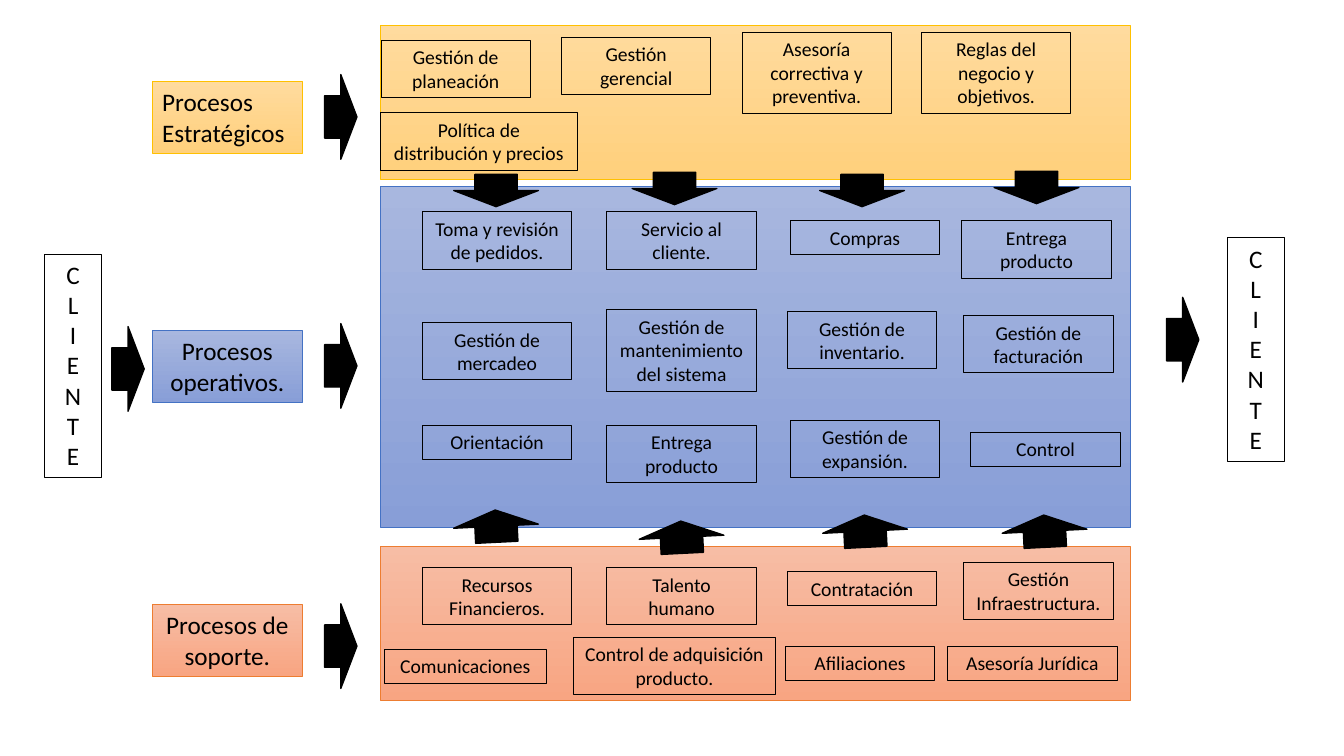
from dataclasses import dataclass

from pptx import Presentation
from pptx import util as u
from pptx.dml.color import RGBColor
from pptx.enum import shapes, text

FONT = "Calibri"
BLACK = "000000"
LEFT, MID = text.PP_ALIGN.LEFT, text.PP_ALIGN.CENTER
COLS = (4.19, 6.02, 7.84, 9.56)
HIGH = {1: 0.34, 2: 0.57, 3: 0.81}  # box height by number of text lines


@dataclass
class Band:
    label: str
    label_y: float
    arrow_y: float
    y: float
    height: float
    top: str
    low: str
    edge: str
    align: text.PP_ALIGN = MID


@dataclass
class Box:
    label: str
    x: float
    y: float
    lines: int = 2
    width: float = 1.48


@dataclass
class Arrow:
    x: float
    y: float
    turn: float = 0


BANDS = [
    Band("Procesos Estratégicos", 0.81, 0.74, 0.25, 1.53,
         "FFDB9E", "FFD07C", "FFC000", LEFT),
    Band("Procesos operativos.", 3.28, 3.21, 1.85, 3.38,
         "A8B7DF", "889ED7", "4472C4"),
    Band("Procesos de soporte.", 6, 5.99, 5.42, 1.53,
         "F7BDA5", "F8A582", "ED7D31"),
]

BOXES = [
    Box("Gestión de planeación", 3.78, 0.4),
    Box("Gestión gerencial", 5.57, 0.37),
    Box("Asesoría correctiva y preventiva.", 7.36, 0.32, 3),
    Box("Reglas del negocio y objetivos.", 9.14, 0.32, 3),
    Box("Política de distribución y precios", 3.77, 1.12, width=1.96),
    Box("Toma y revisión de pedidos.", COLS[0], 2.1),
    Box("Servicio al cliente.", COLS[1], 2.1),
    Box("Compras", COLS[2], 2.19, 1),
    Box("Entrega producto", 9.54, 2.19),
    Box("Gestión de mercadeo", COLS[0], 3.2),
    Box("Gestión de mantenimiento del sistema", COLS[1], 3.07, 3),
    Box("Gestión de inventario.", 7.81, 3.09),
    Box("Gestión de facturación", COLS[3], 3.13),
    Box("Orientación", COLS[0], 4.22, 1),
    Box("Entrega producto", COLS[1], 4.22),
    Box("Gestión de expansión.", COLS[2], 4.17),
    Box("Control", 9.63, 4.29, 1),
    Box("Recursos Financieros.", COLS[0], 5.63),
    Box("Talento humano", COLS[1], 5.63),
    Box("Contratación", 7.81, 5.67, 1),
    Box("Gestión Infraestructura.", COLS[3], 5.58),
    Box("Comunicaciones", 3.81, 6.44, 1, 1.61),
    Box("Control de adquisición producto.", 5.69, 6.32, 2, 2),
    Box("Afiliaciones", 7.79, 6.41, 1),
    Box("Asesoría Jurídica", 9.4, 6.41, 1, 1.68),
]

UP, DOWN = 267.2, 90
ARROWS = [
    Arrow(4.76, 4.8, UP), Arrow(6.6, 4.91, UP),
    Arrow(8.42, 4.85, UP), Arrow(10.2, 4.85, UP),
    Arrow(4.76, 1.47, DOWN), Arrow(6.53, 1.45, DOWN),
    Arrow(8.39, 1.47, DOWN), Arrow(10.12, 1.44, DOWN),
    Arrow(1.11, 3.24), Arrow(11.57, 2.95),
    *(Arrow(3.22, band.arrow_y) for band in BANDS),
]


def color(code: str) -> RGBColor:
    return RGBColor.from_string(code)


def add(slide, kind, x: float, y: float, width: float, height: float,
        edge: str = BLACK, weight: float = 0.75):
    """Add an unfilled, outlined shape without shadow."""
    shape = slide.shapes.add_shape(
        kind, *(u.Inches(side) for side in (x, y, width, height)))
    shape.shadow.inherit = False
    shape.fill.background()
    shape.line.color.rgb = color(edge)
    shape.line.width = u.Pt(weight)
    return shape


def rect(slide, *place: float, **line):
    return add(slide, shapes.MSO_SHAPE.RECTANGLE, *place, **line)


def write(shape, words: str, size: float = 14, align=MID) -> None:
    frame = shape.text_frame
    frame.word_wrap = True
    frame.vertical_anchor = text.MSO_ANCHOR.TOP
    frame.text = words
    for para in frame.paragraphs:
        para.alignment = align
        para.font.name = FONT
        para.font.size = u.Pt(size)
        para.font.color.rgb = color(BLACK)


def shade(shape, top: str, low: str) -> None:
    """Fill with a gradient that runs from top to bottom."""
    shape.fill.gradient()
    shape.fill.gradient_angle = 270
    for stop, code in zip(shape.fill.gradient_stops, (top, low)):
        stop.color.rgb = color(code)


def draw_band(slide, band: Band) -> None:
    area = rect(slide, 3.77, band.y, 7.44, band.height,
                edge=band.edge, weight=0.5)
    label = rect(slide, 1.51, band.label_y, 1.49, 0.71,
                 edge=band.edge, weight=0.5)
    for shape in (area, label):
        shade(shape, band.top, band.low)
    write(label, band.label, size=18, align=band.align)


def draw_box(slide, box: Box) -> None:
    write(rect(slide, box.x, box.y, box.width, HIGH[box.lines]), box.label)


def draw_arrow(slide, arrow: Arrow) -> None:
    shape = add(slide, shapes.MSO_SHAPE.RIGHT_ARROW, arrow.x, arrow.y,
                0.32, 0.84, weight=1)
    shape.rotation = arrow.turn
    shape.fill.solid()
    shape.fill.fore_color.rgb = color(BLACK)


def main() -> None:
    deck = Presentation()
    deck.slide_width, deck.slide_height = u.Inches(13.33), u.Inches(7.5)
    slide = deck.slides.add_slide(deck.slide_layouts[6])
    for x, y in ((0.44, 2.52), (12.17, 2.36)):
        write(rect(slide, x, y, 0.57, 2.22), "\n".join("CLIENTE"), size=18)
    for band in BANDS:
        draw_band(slide, band)
    for box in BOXES:
        draw_box(slide, box)
    for arrow in ARROWS:
        draw_arrow(slide, arrow)
    deck.save("out.pptx")


if __name__ == "__main__":
    main()
